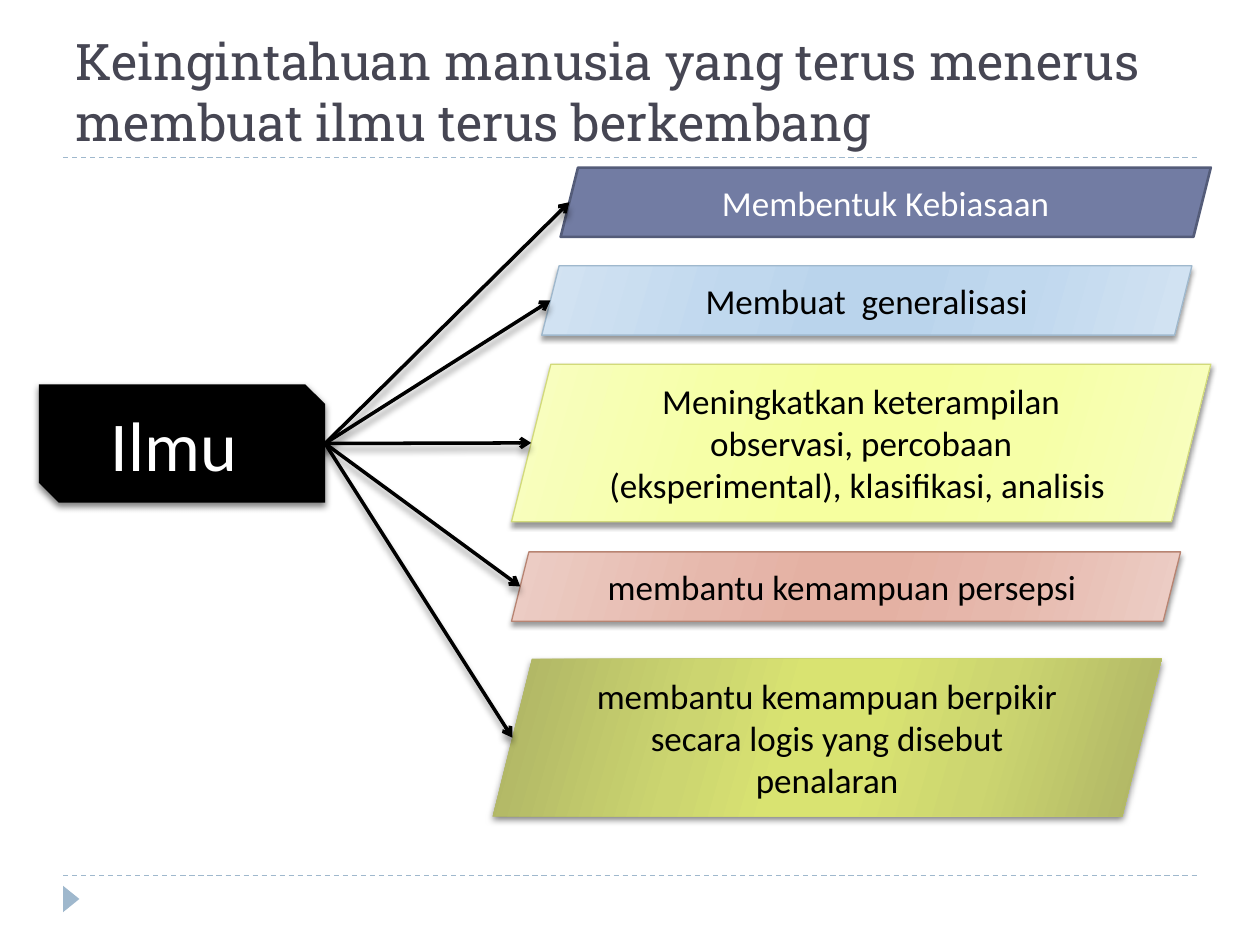
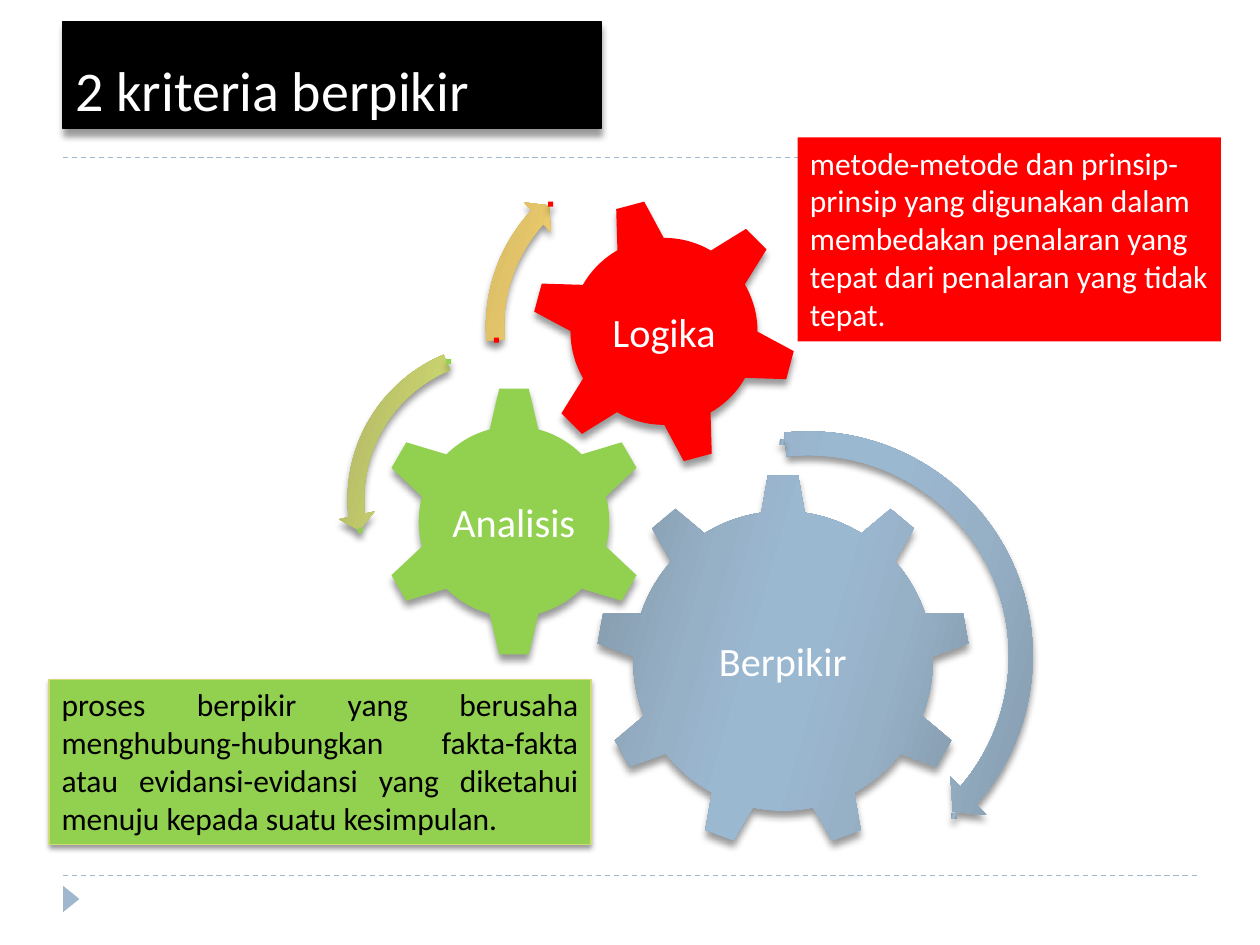
from lxml import etree
from pptx import Presentation
from pptx import util as u
from pptx.dml.color import RGBColor
from pptx.enum import dml, shapes, text
from pptx.oxml.ns import qn

COLOURS = {
    "black": "000000", "white": "FFFFFF", "heading": "464653", "rule": "9FB8CD",
    "indigo": "727CA3", "indigo_edge": "545C79", "lemon_edge": "D2DA7A",
    "rose_edge": "B88472", "green": "92D050", "red": "FF0000",
}
GRADIENTS = {
    "sky": ("D3E3F2", "C0D8EE", "BAD4EC"),
    "lemon": ("F8FEC2", "F6FFA7", "F6FF9F"),
    "rose": ("ECCEC6", "E6B8AC", "E4B1A3"),
    "olive": ("ACB264", "CCD570", "D9E371"),
    "steel": ("8297A8", "96B0C6", "9BB8D1"),
    "gold": ("CDB264", "F5D36E", "FFDC75"),
}
SHADOWS = {"soft": (40, 3, 2), "deep": (50, 4, 2), "far": (40, 4, 3.4)}
BODY, HEADING = "Calibri", "Roboto Slab"
COLUMNS, ROWS = 10, 7.5
MARGIN = 0.5
RULE_ROWS = (6.95, 1.25)
KIND = shapes.MSO_SHAPE
ALIGN = text.PP_ALIGN
ANCHOR = text.MSO_ANCHOR

CURIOSITY_TITLE = "Keingintahuan manusia yang terus menerus membuat ilmu terus berkembang"
SCIENCE = ("Ilmu ", (0.31, 3.05, 2.27, 0.94))
BENEFITS_TOP = 1.33
BENEFITS = [
    ("Membentuk Kebiasaan", 4.45, 5.16, 0.55, 0.23, "indigo", "indigo_edge", None, "white"),
    ("Membuat  generalisasi", 4.3, 5.16, 0.55, 0.23, "sky", "rule", "soft", "black"),
    ("Meningkatkan keterampilan observasi, percobaan (eksperimental), klasifikasi, analisis ",
     4.06, 5.55, 1.25, 0.24, "lemon", "lemon_edge", "soft", "black"),
    ("membantu kemampuan persepsi ", 4.06, 5.31, 0.55, 0.3, "rose", "rose_edge", "soft", "black"),
    ("membantu kemampuan berpikir secara logis yang disebut penalaran",
     3.91, 5.31, 1.25, 0, "olive", None, "deep", "black"),
]

CRITERIA_TITLE = "2 kriteria berpikir"
GEARS = [
    ("Berpikir", KIND.GEAR_9, (4.73, 3.76), 2.97, 0, "steel", 2.97),
    ("Analisis", KIND.GEAR_6, (3, 3.06), 2.16, 0, "green", 2.16),
    ("Logika", KIND.GEAR_6, (4.21, 1.57), 2.12, 345, "red", 1.19),
]
TURNS = [
    (KIND.CIRCULAR_ARROW, (4.52, 3.31), 3.79, (3.6, 24.7, 158.29), "steel"),
    (KIND.LEFT_CIRCULAR_ARROW, (2.68, 2.64), 2.64, (-3.6, 104.19, 148.38), "olive"),
    (KIND.CIRCULAR_ARROW, (3.77, 1.15), 2.88, (3.6, 133.48, 105.08), "gold"),
]
TURN_ENDS = {
    "steel": [(6.19, 3.49), (7.55, 6.46)],
    "green": [(3.54, 2.85), (2.84, 4.19)],
    "red": [(3.92, 2.68), (4.35, 1.6)],
}
TURN_END_SIZE = 0.04
DEFINITIONS = [
    ("proses berpikir yang berusaha menghubung-hubungkan fakta-fakta atau "
     "evidansi-evidansi yang diketahui menuju kepada suatu kesimpulan.",
     (0.39, 5.39, 4.3, 1.31), "green", "lemon_edge", "soft", "black", ALIGN.JUSTIFY),
    ("metode-metode dan prinsip-prinsip yang digunakan dalam membedakan "
     "penalaran yang tepat dari penalaran yang tidak tepat.",
     (6.33, 1.09, 3.36, 1.62), "red", None, None, "white", ALIGN.LEFT),
]

deck = Presentation()
deck.slide_width, deck.slide_height = u.Inches(10), u.Inches(7.5)


def across(columns):
    return round(deck.slide_width * columns / COLUMNS)


def down(rows):
    return round(deck.slide_height * rows / ROWS)


def frame(left, top, width, height):
    return across(left), down(top), across(width), down(height)


def rgb(name):
    return RGBColor.from_string(COLOURS[name])


def add_coloured(parent, tag, colour):
    holder = etree.SubElement(parent, qn(tag))
    return etree.SubElement(holder, qn("a:srgbClr"), val=colour)


def paint(part, name):
    if name in COLOURS:
        part.fill.solid()
        part.fill.fore_color.rgb = rgb(name)
        return
    part.fill.gradient()
    part.fill.gradient_angle = 344
    stops = part._element.spPr.find(".//" + qn("a:gsLst"))
    for stop in list(stops):
        stops.remove(stop)
    ramp = GRADIENTS[name]
    for share, colour in zip((0, 30, 45, 55, 73, 100), ramp + ramp[::-1]):
        add_coloured(stops, "a:gs", colour).getparent().set("pos", str(share * 1000))


def cast_shadow(effects, name):
    if name:
        alpha, blur, distance = SHADOWS[name]
        outer = etree.SubElement(effects, qn("a:outerShdw"), blurRad=str(u.Pt(blur)),
                                 dist=str(u.Pt(distance)), dir="5400000", rotWithShape="0")
        tint = etree.SubElement(outer, qn("a:srgbClr"), val=COLOURS["black"])
        etree.SubElement(tint, qn("a:alpha"), val=str(alpha * 1000))


def add_part(slide, kind, box, fill, edge=None, shadow=None, weight=0.75):
    part = slide.shapes.add_shape(kind, *frame(*box))
    paint(part, fill)
    if edge:
        part.line.color.rgb = rgb(edge)
        part.line.width = u.Pt(weight)
    else:
        part.line.fill.background()
    part.shadow.inherit = False
    cast_shadow(part._element.spPr.find(qn("a:effectLst")), shadow)
    return part


def write(part, words, size, colour, align=ALIGN.CENTER, anchor=ANCHOR.MIDDLE, font=BODY):
    body = part.text_frame
    body.word_wrap = True
    body.vertical_anchor = anchor
    line = body.paragraphs[0]
    line.alignment = align
    run = line.add_run()
    run.text = words
    run.font.size, run.font.name = u.Pt(size), font
    run.font.color.rgb = rgb(colour)
    return body


def add_line(slide, start, end, colour, weight):
    line = slide.shapes.add_connector(shapes.MSO_CONNECTOR.STRAIGHT, across(start[0]),
                                      down(start[1]), across(end[0]), down(end[1]))
    line.line.color.rgb = rgb(colour)
    line.line.width = u.Pt(weight)
    return line


def add_effects(line, shadow=None):
    cast_shadow(etree.SubElement(line._element.spPr, qn("a:effectLst")), shadow)


def add_slide():
    slide = deck.slides.add_slide(deck.slide_layouts[6])
    for row in RULE_ROWS:
        rule = add_line(slide, (MARGIN, row), (COLUMNS - MARGIN, row), "rule", 0.75)
        rule.line.dash_style = dml.MSO_LINE.DASH
        add_effects(rule)
    marker = add_part(slide, KIND.ISOSCELES_TRIANGLE, (0.46, 7.07, 0.21, 0.13), "rule")
    marker.rotation = 90
    return slide


def build_curiosity():
    slide = add_slide()
    title = slide.shapes.add_textbox(*frame(MARGIN, 0.17, COLUMNS - 2 * MARGIN, 1.08))
    write(title, CURIOSITY_TITLE, 28.8, "heading", ALIGN.LEFT, ANCHOR.BOTTOM, HEADING)
    words, box = SCIENCE
    write(add_part(slide, KIND.SNIP_2_DIAG_RECTANGLE, box, "black", shadow="deep"),
          words, 40, "white")
    left, top, width, height = box
    source = left + width, top + height / 2
    row = BENEFITS_TOP
    for words, left, width, height, gap, fill, edge, shadow, ink in BENEFITS:
        weight = 1.5 if fill == "indigo" else 0.75
        benefit = add_part(slide, KIND.PARALLELOGRAM, (left, row, width, height),
                           fill, edge, shadow, weight)
        write(benefit, words, 20, ink)
        slant = benefit.adjustments[0] * height
        arrow = add_line(slide, source, (left + slant / 2, row + height / 2), "black", 2)
        etree.SubElement(arrow.line._get_or_add_ln(), qn("a:tailEnd"), type="arrow")
        add_effects(arrow, "far")
        row += height + gap


def build_criteria():
    slide = add_slide()
    title = add_part(slide, KIND.RECTANGLE, (MARGIN, 0.17, 4.27, 0.85), "black", "black", "far")
    write(title, CRITERIA_TITLE, 32, "white", ALIGN.LEFT, ANCHOR.BOTTOM)
    for words, kind, (left, top), size, turn, fill, label_size in GEARS:
        gear = add_part(slide, kind, (left, top, size, size), fill, shadow="far")
        gear.rotation = turn
        inset = (size - label_size) / 2
        label = slide.shapes.add_textbox(
            *frame(left + inset, top + inset, label_size, label_size))
        body = write(label, words, 23, "white")
        body.margin_left = body.margin_right = across(0.03)
        body.margin_top = body.margin_bottom = down(0.03)
    for kind, corner, size, angles, fill in TURNS:
        turn = add_part(slide, kind, (*corner, size, size), fill, shadow="far")
        for place, value in enumerate((0.05, *angles, 0.055)):
            turn.adjustments[place] = value
    for fill, corners in TURN_ENDS.items():
        for corner in corners:
            add_part(slide, KIND.RECTANGLE, (*corner, TURN_END_SIZE, TURN_END_SIZE),
                     fill, shadow="far")
    for words, box, fill, edge, shadow, ink, align in DEFINITIONS:
        definition = add_part(slide, KIND.RECTANGLE, box, fill, edge, shadow)
        write(definition, words, 18, ink, align, ANCHOR.TOP)


build_curiosity()
build_criteria()
deck.save("out.pptx")
